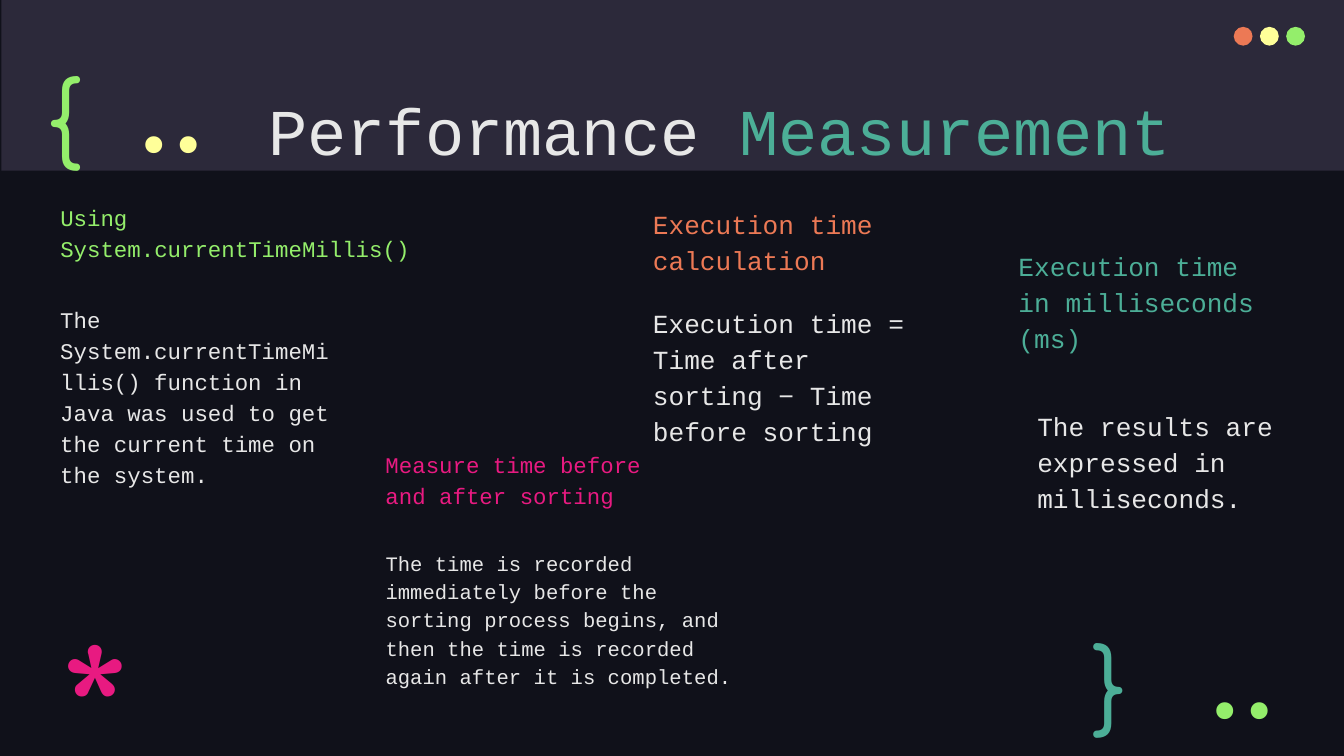
"""Build the Performance Measurement slide."""
from pptx import Presentation
from pptx.dml.color import RGBColor
from pptx.enum.shapes import MSO_SHAPE as Shape
from pptx.enum.text import MSO_ANCHOR as Anchor, MSO_AUTO_SIZE as AutoSize, PP_ALIGN as Align
from pptx.util import Inches, Pt

THEME = {
    "background": "10111A", "band": "2C293A", "light": "E7E7E7",
    "green": "94EE6B", "pink": "E81A81", "orange": "EC7955",
    "teal": "4CAE97", "yellow": "FFFF99",
    "code": "Courier New", "brace": "Comfortaa", "dots": "Fira Code",
    "title": 35, "large": 14, "medium": 12, "small": 11, "symbol": 50, "star": 96,
}

TITLE = [("Performance ", "light"), ("Measurement", "teal")]
TITLE_BOX = (1.14, 0.57, 8.43, 0.63)
BAND_BOX = (0.01, 0, 10, 1.27)

TOPICS = [
    {"heading": "Using\nSystem.currentTimeMillis()", "color": "green",
     "heading_size": "medium", "heading_box": (0.35, 1.26, 3.35, 0.79),
     "body": "The System.currentTimeMillis() function in Java was used to get "
             "the current time on the system.",
     "body_size": "medium", "body_box": (0.35, 2.15, 2.26, 1.65)},
    {"heading": "Measure time before and after sorting", "color": "pink",
     "heading_size": "medium", "heading_box": (2.77, 3.35, 2.16, 0.54),
     "body": "The time is recorded immediately before the sorting process begins, "
             "and then the time is recorded again after it is completed.",
     "body_size": "small", "body_box": (2.77, 3.97, 2.79, 1.62)},
    {"heading": "Execution time calculation", "color": "orange",
     "heading_size": "large", "heading_box": (4.76, 1.5, 2.16, 0.65),
     "body": "Execution time = Time after sorting − Time before sorting",
     "body_size": "large", "body_box": (4.76, 2.15, 2.17, 1.16)},
    {"heading": "Execution time in milliseconds (ms)", "color": "teal",
     "heading_size": "large", "heading_box": (7.48, 1.76, 2.16, 0.97),
     "body": "The results are expressed in milliseconds.",
     "body_size": "large", "body_box": (7.62, 2.92, 2.17, 0.96)},
]

BRACES = [
    ("{", "green", "symbol", (0.25, 0.32, 0.77, 0.95)),
    ("}", "teal", "symbol", (8.03, 4.54, 0.57, 0.83)),
    ("*", "pink", "star", (0.35, 4.41, 0.57, 0.87)),
]
DOT_PAIRS = [("green", (8.7, 4.77, 1.07, 0.6)), ("yellow", (0.73, 0.56, 1.07, 0.6))]

WINDOW_BUTTONS = ["orange", "yellow", "green"]
BUTTON_LEFT, BUTTON_RIGHT, BUTTON_TOP, BUTTON_SIZE = 9.18, 9.57, 0.2, 0.14


def rgb(color):
    return RGBColor.from_string(THEME[color])


def format_run(run, color, size, font):
    run.font.name = THEME[font]
    run.font.size = Pt(THEME[size])
    run.font.color.rgb = rgb(color)


def prepare_frame(frame, anchor):
    frame.word_wrap = True
    frame.auto_size = AutoSize.NONE
    frame.vertical_anchor = anchor
    frame.margin_left = frame.margin_right = Inches(0.1)
    frame.margin_top = frame.margin_bottom = Inches(0.1)


def add_text(slide, text, box, color, size, font="code",
             anchor=Anchor.TOP, align=Align.LEFT, spacing=1.0):
    frame = slide.shapes.add_textbox(*map(Inches, box)).text_frame
    prepare_frame(frame, anchor)
    frame.text = text
    for paragraph in frame.paragraphs:
        paragraph.alignment = align
        paragraph.line_spacing = spacing
        for run in paragraph.runs:
            format_run(run, color, size, font)


def add_filled(slide, kind, box, color):
    shape = slide.shapes.add_shape(kind, *map(Inches, box))
    shape.shadow.inherit = False
    shape.fill.solid()
    shape.fill.fore_color.rgb = rgb(color)
    shape.line.fill.background()
    return shape


def set_title(slide):
    title = slide.shapes.title
    title.left, title.top, title.width, title.height = map(Inches, TITLE_BOX)
    prepare_frame(title.text_frame, Anchor.TOP)
    paragraph = title.text_frame.paragraphs[0]
    paragraph.alignment = Align.CENTER
    for words, color in TITLE:
        run = paragraph.add_run()
        run.text = words
        format_run(run, color, "title", "code")


def main():
    deck = Presentation()
    deck.slide_width = Inches(10)
    deck.slide_height = Inches(10) * 9 // 16
    slide = deck.slides.add_slide(deck.slide_layouts[5])
    slide.background.fill.solid()
    slide.background.fill.fore_color.rgb = rgb("background")

    band = add_filled(slide, Shape.RECTANGLE, BAND_BOX, "band")
    slide.shapes.title.element.addprevious(band.element)
    set_title(slide)

    for topic in TOPICS:
        add_text(slide, topic["body"], topic["body_box"], "light",
                 topic["body_size"], spacing=1.15)
    for topic in TOPICS:
        add_text(slide, topic["heading"], topic["heading_box"], topic["color"],
                 topic["heading_size"], anchor=Anchor.BOTTOM, spacing=1.15)

    for symbol, color, size, box in BRACES:
        add_text(slide, symbol, box, color, size, "brace")
    for color, box in DOT_PAIRS:
        add_text(slide, "..", box, color, "symbol", "dots", Anchor.MIDDLE, Align.RIGHT)

    step = (BUTTON_RIGHT - BUTTON_LEFT) / (len(WINDOW_BUTTONS) - 1)
    for index, color in enumerate(WINDOW_BUTTONS):
        left = BUTTON_LEFT + index * step
        add_filled(slide, Shape.OVAL, (left, BUTTON_TOP, BUTTON_SIZE, BUTTON_SIZE), color)

    deck.save("out.pptx")


if __name__ == "__main__":
    main()
